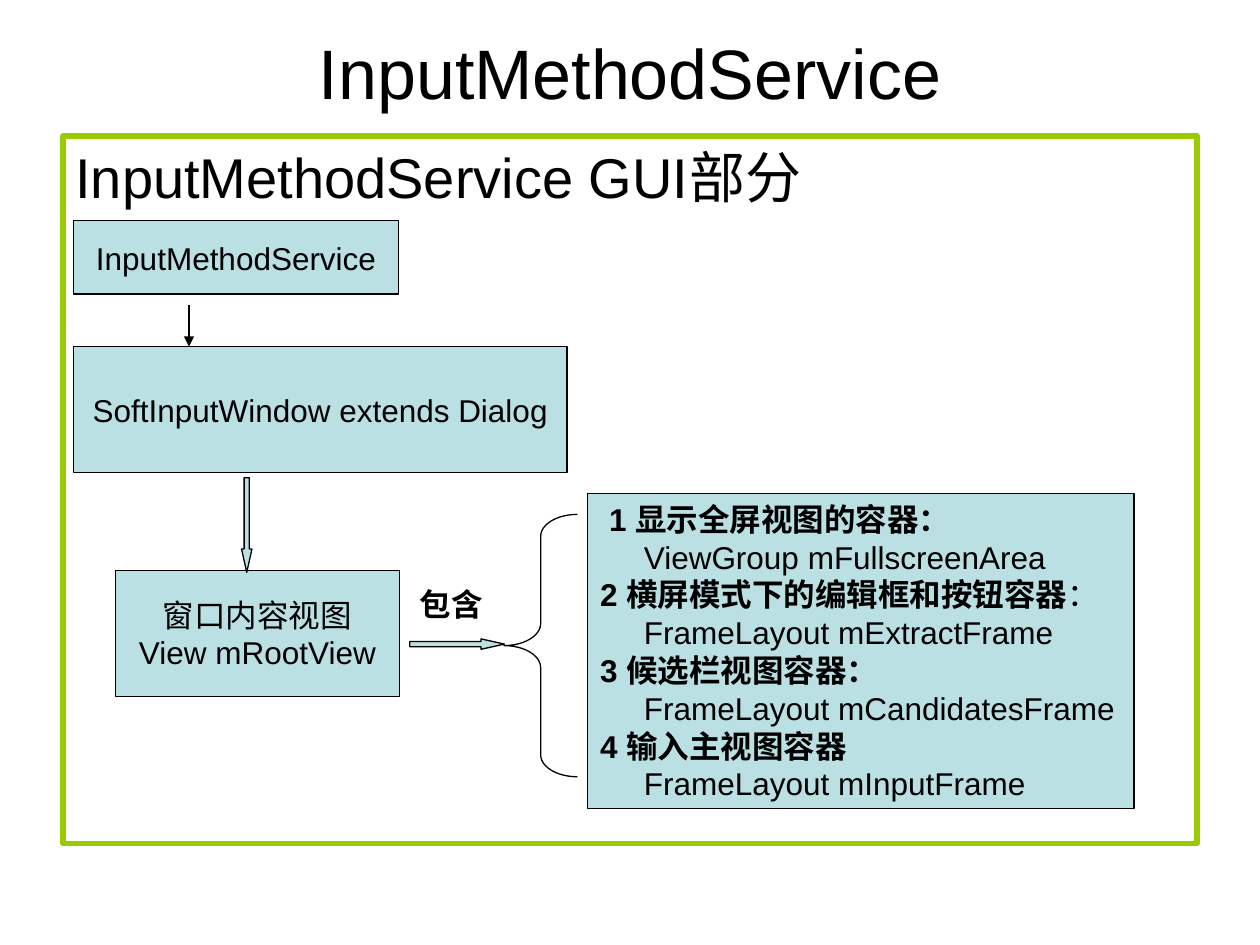
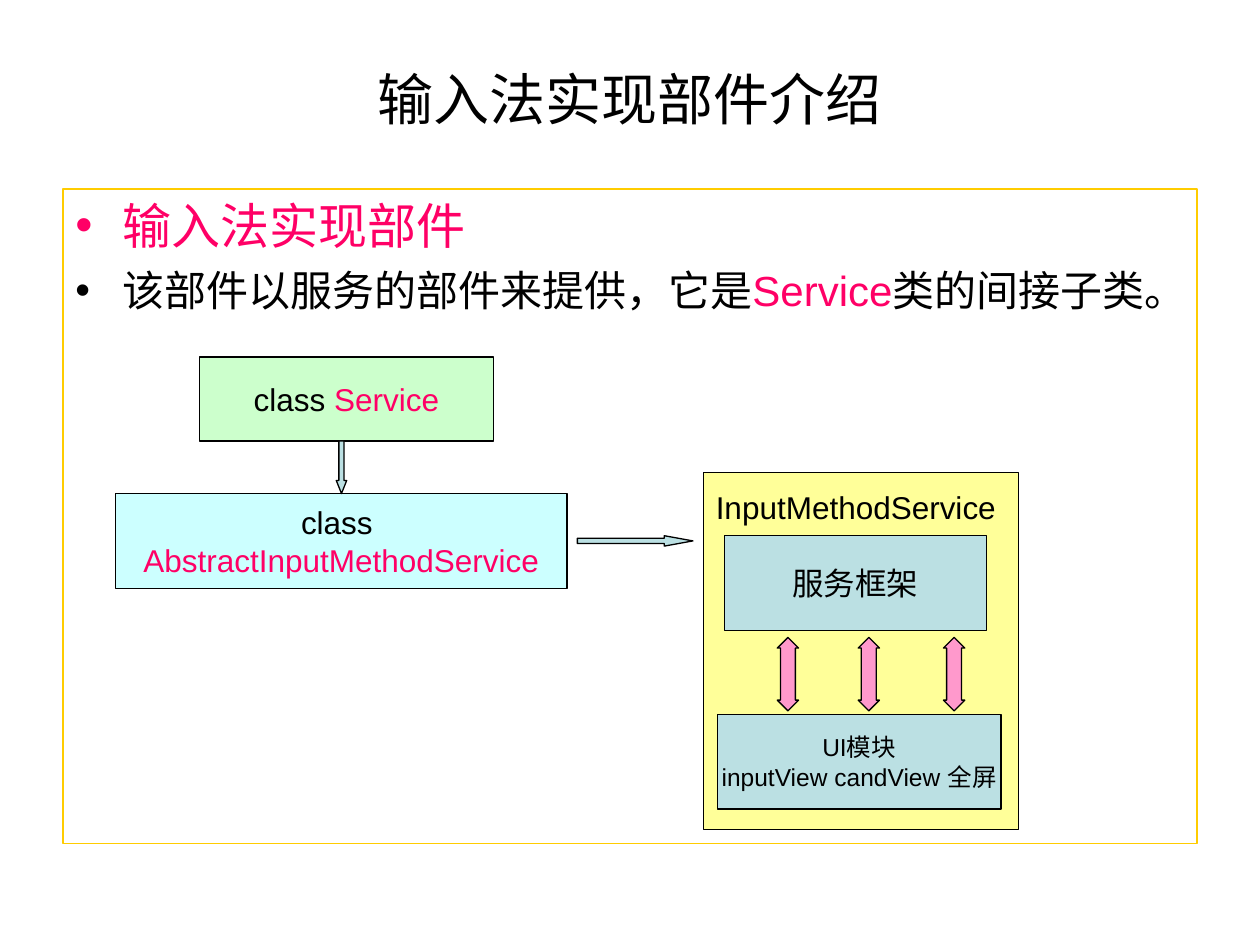
import dataclasses

import lxml.etree
import pptx
import pptx.dml.color
import pptx.enum.shapes
import pptx.enum.text
import pptx.oxml.ns
import pptx.util

Cm = pptx.util.Cm
Pt = pptx.util.Pt
SHAPE = pptx.enum.shapes.MSO_SHAPE
ALIGN = pptx.enum.text.PP_ALIGN
ANCHOR = pptx.enum.text.MSO_ANCHOR


@dataclasses.dataclass(frozen=True)
class Theme:
    font: str = "Arial"
    ink: str = "000000"
    accent: str = "FF0066"
    teal: str = "BBE0E3"
    green: str = "CCFFCC"
    cyan: str = "CCFFFF"
    yellow: str = "FFFF99"
    pink: str = "FF99CC"
    lime_frame: str = "99CC00"
    gold_frame: str = "FFCC00"
    title_size: int = 40
    heading_size: int = 32
    topic_size: int = 28
    body_size: int = 24
    label_size: int = 18
    small_size: int = 14
    thin: float = 0.75
    thick: float = 3
    left: float = 1.27
    width: float = 22.86


THEME = Theme()


@dataclasses.dataclass(frozen=True)
class Span:
    text: str
    color: str = THEME.ink
    bold: bool = False


@dataclasses.dataclass(frozen=True)
class Para:
    spans: tuple
    size: int = THEME.label_size
    indent: float = 0
    bullet: str = ""
    before: float = 0


def line_of(text, size=THEME.label_size, color=THEME.ink, bold=False, indent=0):
    return Para((Span(text, color, bold),), size, indent)


def rgb(value):
    return pptx.dml.color.RGBColor.from_string(value)


def add_element(parent, tag, **attributes):
    return lxml.etree.SubElement(parent, pptx.oxml.ns.qn(tag), attributes)


def set_indent(para, content):
    properties = para._p.get_or_add_pPr()
    if content.bullet:
        properties.set("marL", str(Cm(0.95)))
        properties.set("indent", str(-Cm(0.95)))
        color = add_element(properties, "a:buClr")
        add_element(color, "a:srgbClr", val=content.bullet)
        add_element(properties, "a:buFont", typeface=THEME.font)
        add_element(properties, "a:buChar", char="•")
    elif content.indent:
        properties.set("marL", str(Cm(content.indent)))


def write(box, contents, align=ALIGN.CENTER, anchor=ANCHOR.MIDDLE, wrap=False):
    frame = box.text_frame
    frame.word_wrap = wrap
    frame.vertical_anchor = anchor
    for number, content in enumerate(contents):
        para = frame.add_paragraph() if number else frame.paragraphs[0]
        set_indent(para, content)
        para.alignment = align
        if content.before:
            para.space_before = Pt(content.before)
        for span in content.spans:
            run = para.add_run()
            run.text = span.text
            run.font.name = THEME.font
            run.font.size = Pt(content.size)
            run.font.bold = span.bold
            run.font.color.rgb = rgb(span.color)


def add_text(page, place, contents, wrap=False):
    box = page.shapes.add_textbox(*map(Cm, place))
    write(box, contents, wrap=wrap)


def add_shape(page, kind, place, fill=None, line=THEME.ink, weight=THEME.thin, adjust=()):
    shape = page.shapes.add_shape(kind, *map(Cm, place))
    shape.shadow.inherit = False
    if fill:
        shape.fill.solid()
        shape.fill.fore_color.rgb = rgb(fill)
    else:
        shape.fill.background()
    shape.line.color.rgb = rgb(line)
    shape.line.width = Pt(weight)
    for number, value in enumerate(adjust):
        shape.adjustments[number] = value
    return shape


def add_box(page, place, contents, fill=THEME.teal, align=ALIGN.CENTER):
    box = add_shape(page, SHAPE.RECTANGLE, place, fill)
    write(box, contents, align)
    return box


def add_title(page, text, height, size):
    place = (THEME.left, 0.76, THEME.width, height)
    add_text(page, place, [line_of(text, size)], wrap=True)


def add_body(page, top, height, line, weight, contents):
    place = (THEME.left, top, THEME.width, height)
    body = add_shape(page, SHAPE.RECTANGLE, place, None, line, weight)
    write(body, contents, ALIGN.LEFT, ANCHOR.TOP, True)


def add_block_arrow(page, kind, place, head, fill=THEME.teal):
    add_shape(page, kind, place, fill, adjust=(0.5, head))


def add_thin_arrow(page, x, top, bottom):
    arrow = page.shapes.add_connector(
        pptx.enum.shapes.MSO_CONNECTOR.STRAIGHT, Cm(x), Cm(top), Cm(x), Cm(bottom))
    arrow.line.color.rgb = rgb(THEME.ink)
    arrow.line.width = Pt(THEME.thin)
    add_element(arrow.line._get_or_add_ln(), "a:tailEnd", type="triangle")
    add_element(arrow._element.spPr, "a:effectLst")


def build_gui_page(page):
    add_title(page, "InputMethodService", 1.35, THEME.title_size)
    add_body(page, 2.74, 14.27, THEME.lime_frame, THEME.thick,
             [line_of("InputMethodService GUI部分", THEME.heading_size)])
    add_box(page, (1.48, 4.45, 6.56, 1.48), [line_of("InputMethodService")])
    add_box(page, (1.48, 6.99, 9.95, 2.54), [line_of("SoftInputWindow extends Dialog")])
    add_thin_arrow(page, 3.81, 6.14, 6.99)

    containers = [
        line_of("1 显示全屏视图的容器：", bold=True, indent=0.18),
        line_of("ViewGroup mFullscreenArea", indent=0.88),
        Para((Span("2 横屏模式下的编辑框和按钮容器", bold=True), Span("："))),
        line_of("FrameLayout mExtractFrame", indent=0.88),
        line_of("3 候选栏视图容器：", bold=True),
        line_of("FrameLayout mCandidatesFrame", indent=0.88),
        line_of("4 输入主视图容器", bold=True),
        line_of("FrameLayout mInputFrame", indent=0.88),
    ]
    add_box(page, (11.85, 9.95, 11.01, 6.35), containers, align=ALIGN.LEFT)
    add_shape(page, SHAPE.LEFT_BRACE, (10.16, 10.37, 1.48, 5.29), adjust=(0.3, 0.5))
    add_box(page, (2.33, 11.5, 5.72, 2.54),
            [line_of("窗口内容视图"), line_of("View mRootView")])
    add_text(page, (8.04, 11.43, 2.12, 1.48), [line_of("包含", bold=True)])
    add_block_arrow(page, SHAPE.RIGHT_ARROW, (8.26, 12.88, 1.91, 0.21), 2.25)
    add_block_arrow(page, SHAPE.DOWN_ARROW, (4.87, 9.63, 0.21, 1.91), 2.25)


def build_parts_page(page):
    add_title(page, "输入法实现部件介绍", 2.42, THEME.heading_size)
    add_body(page, 3.81, 13.2, THEME.gold_frame, THEME.thin, [
        Para((Span("输入法实现部件", THEME.accent),), THEME.topic_size, bullet=THEME.accent),
        Para((Span("该部件以服务的部件来提供，它是"), Span("Service", THEME.accent),
              Span("类的间接子类。")), THEME.body_size, bullet=THEME.ink, before=6),
    ])

    service = add_box(page, (14.18, 9.53, 6.35, 7.2),
                      [line_of("InputMethodService")], THEME.yellow, ALIGN.LEFT)
    service.text_frame.vertical_anchor = ANCHOR.TOP
    service.text_frame.margin_top = Cm(0.3)
    add_box(page, (14.6, 10.8, 5.29, 1.91), [line_of("服务框架")])
    add_box(page, (14.46, 14.4, 5.72, 1.91),
            [line_of("UI模块", THEME.small_size),
             line_of("inputView candView 全屏", THEME.small_size)])
    for x in (15.67, 17.3, 19.02):
        add_block_arrow(page, SHAPE.UP_DOWN_ARROW, (x, 12.85, 0.43, 1.48), 0.7, THEME.pink)

    add_box(page, (4.02, 7.2, 5.93, 1.69),
            [Para((Span("class"), Span(" Service", THEME.accent)))], THEME.green)
    add_box(page, (2.33, 9.95, 9.1, 1.91),
            [line_of("class "), line_of("AbstractInputMethodService", color=THEME.accent)],
            THEME.cyan)
    add_block_arrow(page, SHAPE.DOWN_ARROW, (6.78, 8.89, 0.21, 1.06), 1.25)
    add_block_arrow(page, SHAPE.RIGHT_ARROW, (11.64, 10.8, 2.33, 0.21), 2.75)


def main():
    deck = pptx.Presentation()
    deck.slide_width = Cm(25.4)
    deck.slide_height = Cm(19.05)
    blank = deck.slide_layouts[6]
    for build in (build_gui_page, build_parts_page):
        build(deck.slides.add_slide(blank))
    deck.save("out.pptx")


if __name__ == "__main__":
    main()
